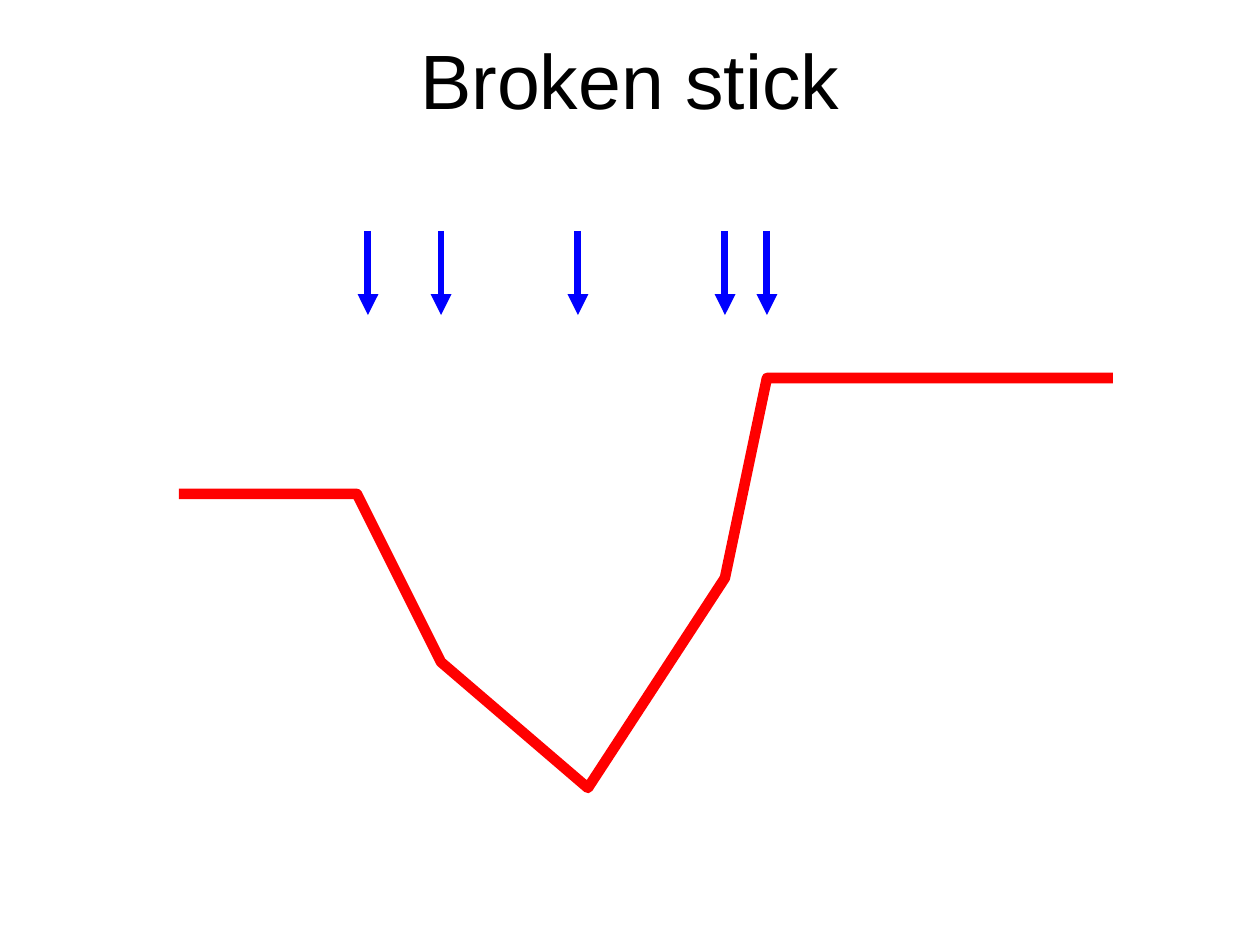
"""Build the broken stick slide: a bent line with arrows over its breaks."""
from typing import NamedTuple

from lxml import etree
from pptx import Presentation
from pptx.dml.color import RGBColor
from pptx.enum.shapes import MSO_CONNECTOR
from pptx.enum.text import MSO_ANCHOR, PP_ALIGN
from pptx.oxml.ns import qn
from pptx.util import Pt

STRAIGHT = MSO_CONNECTOR.STRAIGHT
MIDDLE = MSO_ANCHOR.MIDDLE
CENTER = PP_ALIGN.CENTER
SCALE = 914400 / 126


class Point(NamedTuple):
    """A place on the slide in px."""
    x: int
    y: int


class Arrow(NamedTuple):
    """An arrow that points straight down, in px."""
    x: int
    top: int = 231
    end: int = 315


STICK = [Point(179, 494), Point(357, 494), Point(441, 662), Point(588, 788),
         Point(725, 578), Point(767, 378), Point(1113, 378)]
ARROWS = [Arrow(x) for x in (767, 725, 578, 441, 368)]


def px(size: int) -> int:
    """Turn px into EMU."""
    return round(size * SCALE)


def color(code: str) -> RGBColor:
    """Turn a hex string into a colour."""
    return RGBColor.from_string(code)


def style(line, code: str, width: int) -> None:
    """Give a line its colour and width."""
    line.color.rgb = color(code)
    line.width = Pt(width)


def add_title(slide, text: str) -> None:
    """Fill and place the title."""
    title = slide.shapes.title
    title.left, title.top, title.width, title.height = px(63), 0, px(1134), px(158)
    frame = title.text_frame
    frame.text = text
    frame.vertical_anchor = MIDDLE
    par = frame.paragraphs[0]
    par.alignment = CENTER
    font = par.runs[0].font
    font.name, font.size = "Arial", Pt(44)
    font.color.rgb = color("000000")


def add_stick(slide, points: list[Point]) -> None:
    """Draw the bent line with round joins."""
    first, *rest = points
    builder = slide.shapes.build_freeform(first.x, first.y, scale=SCALE)
    builder.add_line_segments(rest, close=False)
    stick = builder.convert_to_shape()
    stick.shadow.inherit = False
    stick.fill.background()
    style(stick.line, "FF0000", 6)
    etree.SubElement(stick.line._get_or_add_ln(), qn("a:round"))


def add_arrow(slide, arrow: Arrow) -> None:
    """Draw one arrow."""
    x = px(arrow.x)
    shape = slide.shapes.add_connector(STRAIGHT, x, px(arrow.top), x, px(arrow.end))
    style(shape.line, "0000FF", 4)
    etree.SubElement(shape.line._get_or_add_ln(), qn("a:tailEnd"), type="triangle")
    etree.SubElement(shape._element.spPr, qn("a:effectLst"))


def main() -> None:
    """Build and save the slide."""
    deck = Presentation()
    deck.slide_width, deck.slide_height = px(1260), px(945)
    slide = deck.slides.add_slide(deck.slide_layouts[5])
    add_title(slide, "Broken stick")
    add_stick(slide, STICK)
    for arrow in ARROWS:
        add_arrow(slide, arrow)
    deck.save("out.pptx")


if __name__ == "__main__":
    main()
